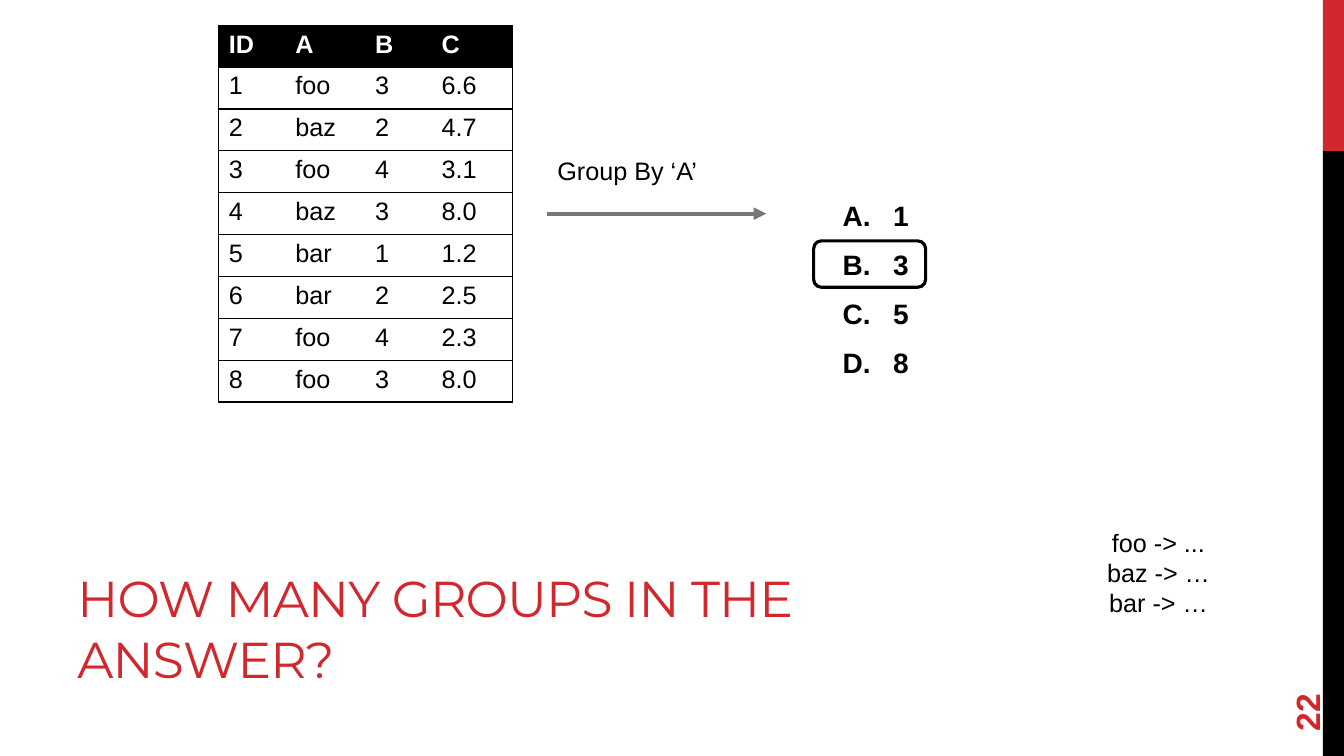
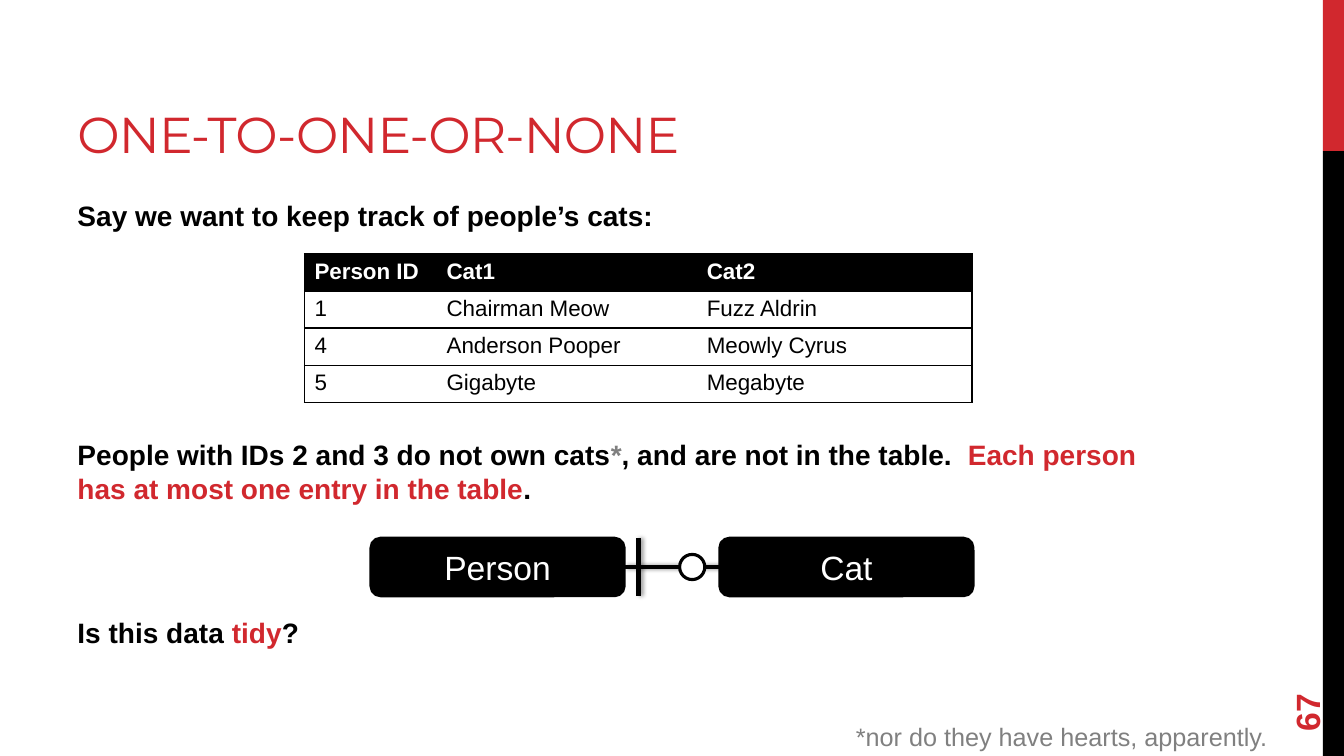
from lxml.etree import SubElement
from pptx import Presentation
from pptx.dml.color import RGBColor
from pptx.enum.shapes import MSO_CONNECTOR, MSO_SHAPE
from pptx.enum.text import MSO_ANCHOR, PP_ALIGN
from pptx.oxml.ns import qn
from pptx.util import Emu, Pt

PX = 9144  # EMU in one px, 100 px to the inch
SLIDE_WIDTH, SLIDE_HEIGHT = 1333, 750

RED = RGBColor(0xD1, 0x28, 0x2E)
BLACK = RGBColor(0x00, 0x00, 0x00)
WHITE = RGBColor(0xFF, 0xFF, 0xFF)
GRAY = RGBColor(0x80, 0x80, 0x80)
ARROW_GRAY = RGBColor(0x77, 0x77, 0x77)
BODY_FONT, TITLE_FONT = "Arial", "Montserrat"

BAND_LEFT, BAND_SPLIT = 1312, 150
BODY_TOP, BODY_HEIGHT = 192, 478
BODY_SIZE, BODY_BEFORE, BODY_AFTER = 20, 5, 6
BODY_PITCH = 34  # points from one single-line body paragraph to the next

GROUPS = {
    "title": "HOW MANY GROUPS IN THE ANSWER?",
    "title_top": 538,
    "number": "22",
    "table": [
        ("ID", "A", "B", "C"),
        ("1", "foo", "3", "6.6"),
        ("2", "baz", "2", "4.7"),
        ("3", "foo", "4", "3.1"),
        ("4", "baz", "3", "8.0"),
        ("5", "bar", "1", "1.2"),
        ("6", "bar", "2", "2.5"),
        ("7", "foo", "4", "2.3"),
        ("8", "foo", "3", "8.0"),
    ],
    "operation": "Group By ‘A’",
    "choices": ["1", "3", "5", "8"],
    "result": ["foo -> ...", "baz -> …", "bar -> …"],
}
CATS = {
    "title": "ONE-TO-ONE-OR-NONE",
    "title_top": 17,
    "number": "67",
    "table": [
        ("Person ID", "Cat1", "Cat2"),
        ("1", "Chairman Meow", "Fuzz Aldrin"),
        ("4", "Anderson Pooper", "Meowly Cyrus"),
        ("5", "Gigabyte", "Megabyte"),
    ],
    # (body rows left free above, spans)
    "body": [
        (0, [("Say we want to keep track of people’s cats:", BLACK)]),
        (4, [("People with IDs 2 and 3 do not own cats", BLACK), ("*", GRAY),
             (", and are not in the table.  ", BLACK),
             ("Each person has at most one entry in the table", RED), (".", BLACK)]),
        (2, [("Is this data ", BLACK), ("tidy", RED), ("?", BLACK)]),
    ],
    "entities": [("Person", 368), ("Cat", 714)],
    "footnote": "*nor do they have hearts, apparently.",
}


def px(*lengths):
    return [Emu(round(length * PX)) for length in lengths]


def style(span, size, color, bold=False, font=BODY_FONT):
    span.font.name = font
    span.font.size = Pt(size)
    span.font.bold = bold
    span.font.color.rgb = color


def fill_text(frame, lines, size, color, bold=False, align=None, font=BODY_FONT):
    """Write one paragraph per line, all in one style."""
    frame.word_wrap = True
    frame.text = "\n".join(lines)
    for para in frame.paragraphs:
        para.alignment = align
        for span in para.runs:
            style(span, size, color, bold, font)


def add_text(page, place, lines, size, color, **options):
    box = page.shapes.add_textbox(*px(*place))
    fill_text(box.text_frame, lines, size, color, **options)
    return box


def add_shape(page, kind, place, fill=None, line=None, line_width=2.25):
    shape = page.shapes.add_shape(kind, *px(*place))
    shape.shadow.inherit = False
    if fill is None:
        shape.fill.background()
    else:
        shape.fill.solid()
        shape.fill.fore_color.rgb = fill
    if line is None:
        shape.line.fill.background()
    else:
        shape.line.color.rgb = line
        shape.line.width = Pt(line_width)
    return shape


def add_line(page, start, end, color, width, arrow=False, shadow=False):
    line = page.shapes.add_connector(MSO_CONNECTOR.STRAIGHT, *px(*start, *end))
    line.line.color.rgb = color
    line.line.width = Pt(width)
    properties = line._element.spPr
    if arrow:
        SubElement(properties.find(qn("a:ln")), qn("a:tailEnd"), type="triangle")
    effects = SubElement(properties, qn("a:effectLst"))
    if shadow:
        outer = SubElement(effects, qn("a:outerShdw"), blurRad=str(Pt(3.1)),
                           dist=str(Pt(1.8)), dir="0", rotWithShape="0")
        shade = SubElement(outer, qn("a:srgbClr"), val=str(BLACK))
        SubElement(shade, qn("a:alpha"), val="40000")


def set_borders(cell, visible):
    """Draw the sides named in visible (L, R, T, B) and clear the others."""
    properties = cell._tc.get_or_add_tcPr()
    for side in "LRTB":
        border = SubElement(properties, qn(f"a:ln{side}"), w=str(Pt(1)))
        if side in visible:
            paint = SubElement(border, qn("a:solidFill"))
            SubElement(paint, qn("a:srgbClr"), val=str(BLACK))
        else:
            SubElement(border, qn("a:noFill"))


def add_grid(page, left, top, widths, height, rows, size):
    """Add a table with a black header, row lines and an outer frame."""
    place = px(left, top, sum(widths), height)
    table = page.shapes.add_table(len(rows), len(widths), *place).table
    table.horz_banding = False
    for column, width in zip(table.columns, widths):
        column.width = px(width)[0]
    for row_index, values in enumerate(rows):
        table.rows[row_index].height = px(height / len(rows))[0]
        header = row_index == 0
        for column_index, value in enumerate(values):
            cell = table.cell(row_index, column_index)
            visible = "TB"
            if column_index == 0:
                visible += "L"
            if column_index == len(values) - 1:
                visible += "R"
            set_borders(cell, visible)
            cell.fill.solid()
            cell.fill.fore_color.rgb = BLACK if header else WHITE
            cell.text_frame.text = value
            style(cell.text_frame.paragraphs[0].runs[0], size,
                  WHITE if header else BLACK, bold=header)


def add_page(deck, content):
    """Add a slide with its side bands, title and number."""
    page = deck.slides.add_slide(deck.slide_layouts[6])
    band_width = SLIDE_WIDTH - BAND_LEFT
    for top, bottom, color in ((0, BAND_SPLIT, RED), (BAND_SPLIT, SLIDE_HEIGHT, BLACK)):
        add_shape(page, MSO_SHAPE.RECTANGLE,
                  (BAND_LEFT, top, band_width, bottom - top), color)
    title = add_text(page, (67, content["title_top"], 844, 150), [content["title"]],
                     36, RED, font=TITLE_FONT)
    title.text_frame.vertical_anchor = MSO_ANCHOR.BOTTOM
    title.text_frame.paragraphs[0].runs[0]._r.get_or_add_rPr().set("spc", "-60")
    number = add_text(page, (1224, 637, 144, 53), [content["number"]], 24, RED, bold=True)
    number.text_frame.vertical_anchor = MSO_ANCHOR.MIDDLE
    number.rotation = 270
    return page


def space_body(paragraphs, skipped_rows):
    for index, (para, skipped) in enumerate(zip(paragraphs, skipped_rows)):
        para.space_after = Pt(BODY_AFTER)
        if index:
            para.space_before = Pt(BODY_BEFORE + BODY_PITCH * skipped)


def add_choices(page, choices):
    box = add_text(page, (826, BODY_TOP, 352, BODY_HEIGHT), choices,
                   BODY_SIZE, BLACK, bold=True)
    paragraphs = box.text_frame.paragraphs
    indent = px(50)[0]
    for para in paragraphs:
        properties = para._p.get_or_add_pPr()
        properties.set("marL", str(indent))
        properties.set("indent", str(-indent))
        SubElement(properties, qn("a:buFont"), typeface=BODY_FONT)
        SubElement(properties, qn("a:buAutoNum"), type="alphaUcPeriod")
    space_body(paragraphs, [0] * len(choices))


def add_body(page, body):
    box = page.shapes.add_textbox(*px(67, BODY_TOP, 1111, BODY_HEIGHT))
    frame = box.text_frame
    frame.word_wrap = True
    for index, (_, spans) in enumerate(body):
        para = frame.add_paragraph() if index else frame.paragraphs[0]
        for text, color in spans:
            span = para.add_run()
            span.text = text
            style(span, BODY_SIZE, color, bold=True)
    space_body(frame.paragraphs, [skipped for skipped, _ in body])


def add_relation(page, entities):
    """Draw two entities joined by a one-to-zero-or-one line."""
    top, width, height = 534, 251, 57
    middle = top + height / 2
    for name, left in entities:
        entity = add_shape(page, MSO_SHAPE.ROUNDED_RECTANGLE,
                           (left, top, width, height), BLACK, BLACK)
        fill_text(entity.text_frame, [name], 24, WHITE, align=PP_ALIGN.CENTER)
        entity.text_frame.vertical_anchor = MSO_ANCHOR.MIDDLE
    (_, first_left), (_, second_left) = entities
    one_bar, zero_left, zero_size = 633, 674, 25
    for start, end in (((second_left, middle), (first_left + width, middle)),
                       ((one_bar, top), (one_bar, top + height))):
        add_line(page, start, end, BLACK, 3.25, shadow=True)
    add_shape(page, MSO_SHAPE.OVAL,
              (zero_left, middle - zero_size / 2, zero_size, zero_size), WHITE, BLACK)


def build_groups(deck):
    page = add_page(deck, GROUPS)
    add_grid(page, 217, 25, (66, 79, 66, 80), 374, GROUPS["table"], 18)
    add_text(page, (543, 149, 196, 40), [GROUPS["operation"]], 18, BLACK)
    add_line(page, (543, 212), (760, 212), ARROW_GRAY, 3, arrow=True)
    add_choices(page, GROUPS["choices"])
    add_shape(page, MSO_SHAPE.ROUNDED_RECTANGLE, (807, 239, 111, 46), line=BLACK)
    add_text(page, (1018, 518, 262, 101), GROUPS["result"], 18, BLACK,
             align=PP_ALIGN.CENTER)


def build_cats(deck):
    page = add_page(deck, CATS)
    add_body(page, CATS["body"])
    add_grid(page, 302, 252, (131, 258, 273), 147, CATS["table"], 16)
    add_relation(page, CATS["entities"])
    add_text(page, (839, 711, 441, 40), [CATS["footnote"]], 18, GRAY)


def main():
    deck = Presentation()
    deck.slide_width, deck.slide_height = px(SLIDE_WIDTH, SLIDE_HEIGHT)
    build_groups(deck)
    build_cats(deck)
    deck.save("out.pptx")


if __name__ == "__main__":
    main()
